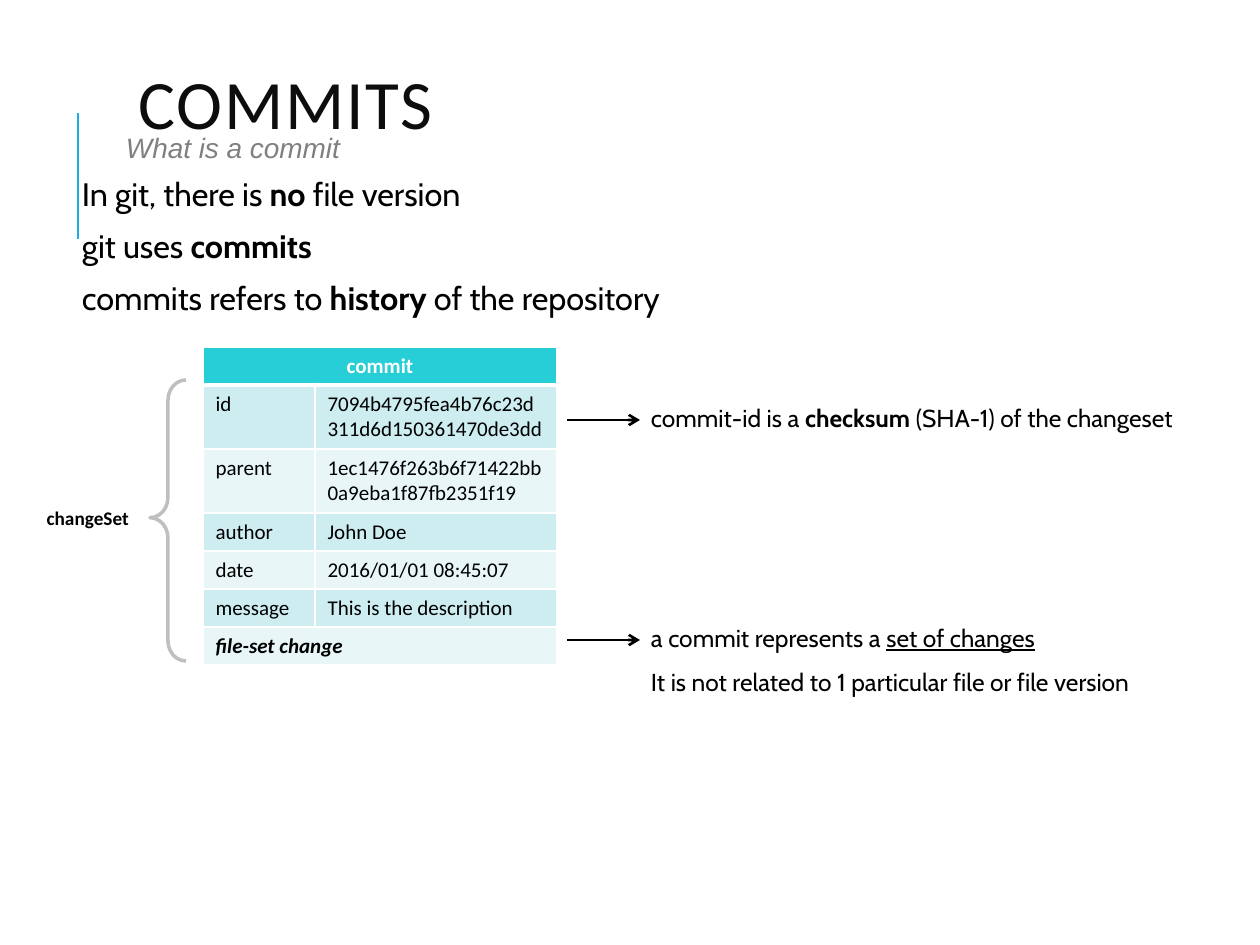
from lxml.etree import SubElement
from pptx import Presentation
from pptx.dml.color import RGBColor
from pptx.enum.shapes import MSO_CONNECTOR as Line, MSO_SHAPE as Shape
from pptx.enum.text import MSO_ANCHOR as Anchor, PP_ALIGN as Align
from pptx.oxml import parse_xml
from pptx.oxml.ns import nsdecls, qn
from pptx.util import Pt

SCALE = 914400 / 126  # EMU in one px
BLACK, WHITE = "000000", "FFFFFF"
BANDS = ["CDEDF0", "E8F6F8"]
ROWS = [
    ("id", "7094b4795fea4b76c23d311d6d150361470de3dd"),
    ("parent", "1ec1476f263b6f71422bb0a9eba1f87fb2351f19"),
    ("author", "John Doe"),
    ("date", "2016/01/01 08:45:07"),
    ("message", "This is the description"),
]


def px(*nums):
    return [round(n * SCALE) for n in nums]


def color(code):
    return RGBColor.from_string(code)


def style(para, size, face, code, bold=None, italic=None):
    font = para.font
    font.size, font.name = Pt(size), face
    font.color.rgb = color(code)
    font.bold, font.italic = bold, italic


def add_text(slide, box, paras, size, face, code=BLACK, pad=(0, 0), gap=0,
             after=0, lead=None, align=Align.LEFT, bold=None, italic=None):
    """Each paragraph is a list of (text, mark) runs; mark is "", "b" or "u"."""
    frame = slide.shapes.add_textbox(*px(*box)).text_frame
    frame.word_wrap = True
    frame.margin_left = frame.margin_right = px(pad[0])[0]
    frame.margin_top = frame.margin_bottom = px(pad[1])[0]
    for i, runs in enumerate(paras):
        para = frame.add_paragraph() if i else frame.paragraphs[0]
        style(para, size, face, code, bold, italic)
        para.alignment = align
        para.space_before, para.space_after = Pt(gap), Pt(after)
        if lead:
            para.line_spacing = lead
        for text, mark in runs:
            run = para.add_run()
            run.text = text
            if mark == "b":
                run.font.bold = True
            elif mark == "u":
                run.font.underline = True
    return frame


def add_line(slide, ends, code, arrow=False):
    line = slide.shapes.add_connector(Line.STRAIGHT, *px(*ends))
    line.line.color.rgb = color(code)
    line.line.width = Pt(1.5)
    if arrow:
        SubElement(line.line._get_or_add_ln(), qn("a:tailEnd"), type="arrow")
    SubElement(line._element.spPr, qn("a:effectLst"))


def add_head(slide, x, y, w):
    # Accent rule, title and subtitle
    add_line(slide, (x - 48, y + 151, x - 48, y + 25), "1CADE4")
    frame = add_text(slide, (x, y, w, 43), [[("COMMITS", "")]], 39.6,
                     "Calibri", "0D0D0D", pad=(13, 6), lead=0.8)
    frame.vertical_anchor = Anchor.MIDDLE
    frame.paragraphs[0].runs[0].font._element.set("spc", "100")
    add_text(slide, (x, y + 43, w, 34), [[("What is a commit", "")]], 16,
             "Arial", "808080", italic=True)


def add_points(slide, x, y, w, h):
    add_text(slide, (x, y, w, h), [
        [("In git, there is ", ""), ("no ", "b"), ("file version", "")],
        [("git uses ", ""), ("commits", "b")],
        [("commits refers to ", ""), ("history", "b"),
         (" of the repository", "")],
    ], 18.5, "Cabin", pad=(19, 6), gap=12, after=2, lead=0.7)


def fill_cell(cell, text, code, ink=BLACK, bold=False, italic=False,
              align=Align.LEFT, base=1):
    cell.text = text
    para = cell.text_frame.paragraphs[0]
    para.alignment = align
    style(para, 12, "Calibri", ink, bold, italic)
    cell.fill.solid()
    cell.fill.fore_color.rgb = color(code)
    edges = cell._tc.get_or_add_tcPr()
    for i, side in enumerate("LRTB"):
        wide = Pt(base if side == "B" else 1)
        edges.insert(i, parse_xml(
            f'<a:ln{side} {nsdecls("a")} w="{wide}"><a:solidFill>'
            f'<a:srgbClr val="{WHITE}"/></a:solidFill></a:ln{side}>'))


def add_commit(slide, x, y, w):
    # Commit table: header, fields, file set
    high = [38, 64, 64] + [38] * 4
    table = slide.shapes.add_table(7, 2, *px(x, y, w, sum(high))).table
    table.first_row = table.horz_banding = False
    for col, wide in zip(table.columns, px(112, w - 112)):
        col.width = wide
    for row, tall in zip(table.rows, px(*high)):
        row.height = tall
    for r in (0, 6):
        table.cell(r, 0).merge(table.cell(r, 1))
    fill_cell(table.cell(0, 0), "commit", "27CED7", WHITE, bold=True,
              align=Align.CENTER, base=3)
    for r, row in enumerate(ROWS, 1):
        for c, text in enumerate(row):
            fill_cell(table.cell(r, c), text, BANDS[(r - 1) % 2])
    fill_cell(table.cell(6, 0), "file-set change", BANDS[1], bold=True,
              italic=True)


def add_brace(slide, x, y, w, h):
    # Brace with its label on the left
    brace = slide.shapes.add_shape(Shape.LEFT_BRACE, *px(x, y, w, h))
    brace.shadow.inherit = False
    brace.fill.background()
    brace.line.color.rgb = color("BFBFBF")
    brace.line.width = Pt(2)
    brace.adjustments[0], brace.adjustments[1] = 0.56, 0.49
    add_text(slide, (x - 131, y + 120, 123, 36), [[("changeSet", "")]], 11,
             "Calibri", pad=(13, 6), align=Align.RIGHT, bold=True)


def add_note(slide, x, y, w, h, paras):
    # Arrow from the table, then the remark
    add_line(slide, (x, y, x + 73, y), BLACK, arrow=True)
    add_text(slide, (x + 84, y - 17, w - 84, h), paras, 14, "Cabin", gap=8.4)


def main():
    deck = Presentation()
    deck.slide_width, deck.slide_height = px(1260, 945)
    slide = deck.slides.add_slide(deck.slide_layouts[6])
    add_head(slide, 126, 88, 1071)
    add_points(slide, 63, 179, 1134, 147)
    add_commit(slide, 203, 347, 354)
    add_brace(slide, 150, 380, 36, 281)
    add_note(slide, 567, 420, 693, 32, [
        [("commit-id is a ", ""), ("checksum", "b"),
         (" (SHA-1) of the changeset", "")]])
    add_note(slide, 567, 640, 620, 105, [
        [("a commit represents a ", ""), ("set of changes", "u")],
        [("It is not related to 1 particular file or file version", "")]])
    deck.save("out.pptx")


if __name__ == "__main__":
    main()
